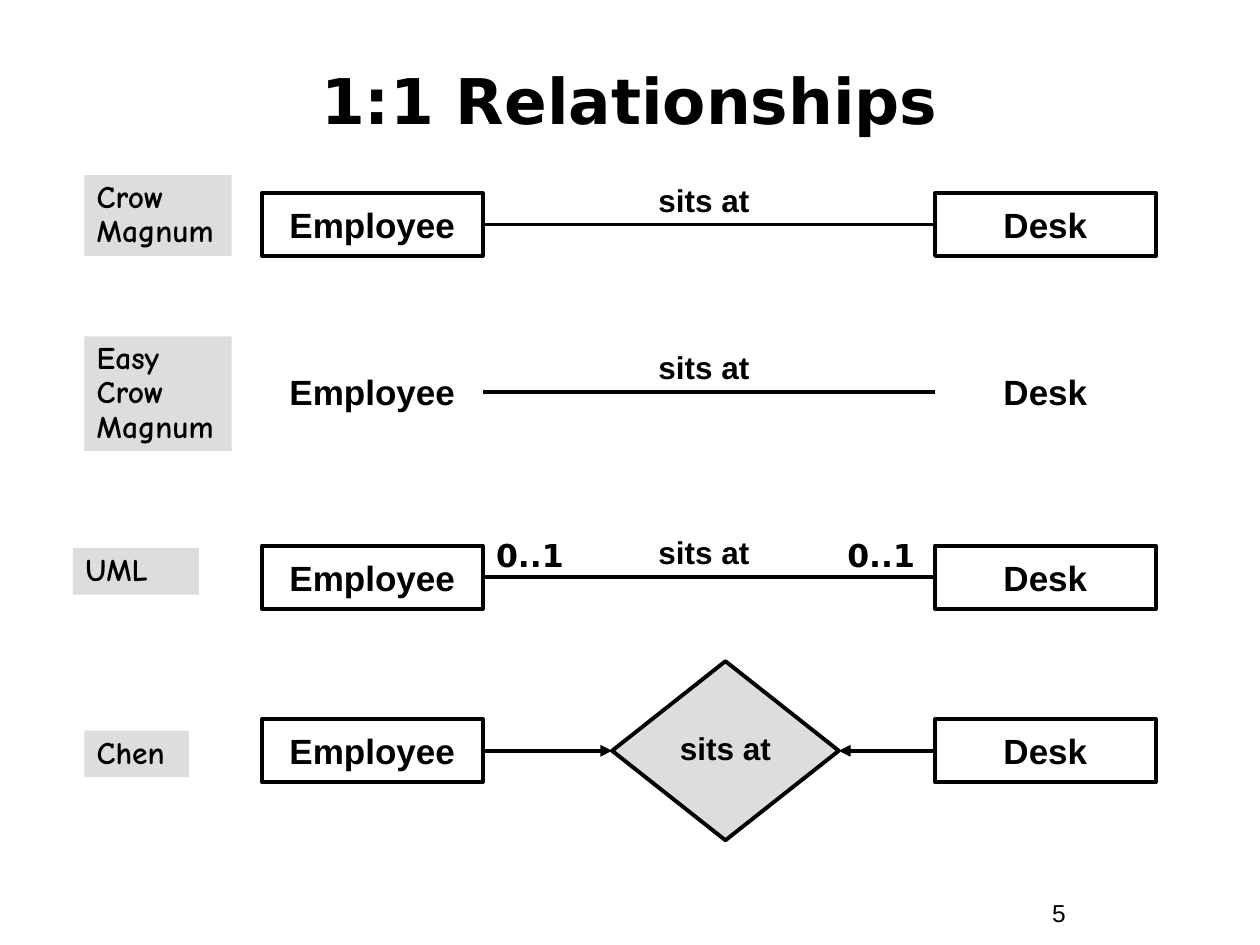
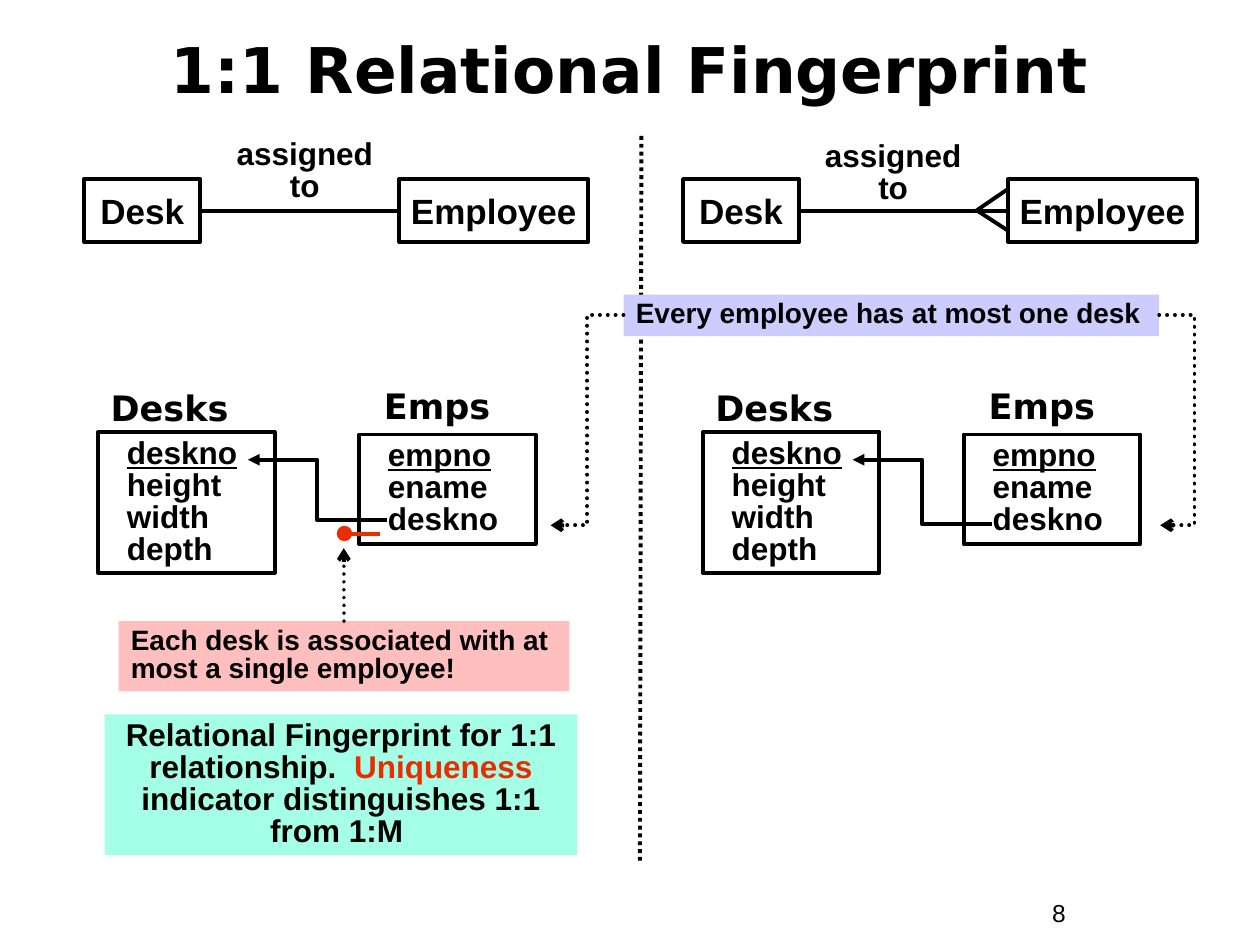
from lxml import etree
from pptx import Presentation
from pptx import util as u
from pptx.dml import color
from pptx.enum import dml, shapes, text
from pptx.oxml import ns

Cm = u.Cm
rgb = color.RGBColor.from_string
BLACK, GREY, RED = "000000", "DDDDDD", "EA2D00"
LEFT, CENTRE = text.PP_ALIGN.LEFT, text.PP_ALIGN.CENTER
TOP, MIDDLE = text.MSO_ANCHOR.TOP, text.MSO_ANCHOR.MIDDLE
TOP_SIDE, LEFT_SIDE, RIGHT_SIDE = 0, 1, 3
RECTANGLE = shapes.MSO_SHAPE.RECTANGLE

TITLE = dict(size=36, name="DejaVu Sans", align=CENTRE, anchor=MIDDLE)
NUMBER = dict(size=14, bold=False)
ENTITY = dict(size=20, align=CENTRE, anchor=MIDDLE, wrap=False)
BOXED = dict(ENTITY, line=BLACK)
VERB = dict(align=CENTRE, spacing=0.85)
NOTATION = dict(name="Comic Neue", spacing=0.9, fill=GREY)
CARDINALITY = dict(name="DejaVu Sans", align=CENTRE)
TABLE_NAME = dict(size=20, name="DejaVu Sans")
COLUMNS = dict(spacing=0.85, indent=0.33, line=BLACK)
NOTE = dict(size=16, spacing=0.85)


def add_box(slide, box, paragraphs, kind=RECTANGLE, size=18, name="Arial", bold=True,
            align=LEFT, anchor=TOP, wrap=True, spacing=1.0, indent=0, fill=None, line=None):
    lengths = [Cm(length) for length in box]
    if fill or line:
        shape = slide.shapes.add_shape(kind, *lengths)
        shape.shadow.inherit = False
        if fill:
            shape.fill.solid()
            shape.fill.fore_color.rgb = rgb(fill)
        else:
            shape.fill.background()
        if line:
            shape.line.color.rgb = rgb(line)
            shape.line.width = u.Pt(2.25)
        else:
            shape.line.fill.background()
    else:
        shape = slide.shapes.add_textbox(*lengths)
    frame = shape.text_frame
    frame_format = dict(word_wrap=wrap, vertical_anchor=anchor, margin_left=Cm(0.25),
                        margin_right=Cm(0.25), margin_top=Cm(0.13), margin_bottom=Cm(0.13))
    for attribute, value in frame_format.items():
        setattr(frame, attribute, value)
    if isinstance(paragraphs, str):
        paragraphs = [[(paragraphs, {})]]
    for index, runs in enumerate(paragraphs):
        paragraph = frame.add_paragraph() if index else frame.paragraphs[0]
        paragraph.alignment = align
        paragraph.line_spacing = spacing
        if indent:
            paragraph._p.get_or_add_pPr().set("marL", str(Cm(indent)))
        for words, changes in runs:
            for number, part in enumerate(words.split("\n")):
                if number:
                    paragraph.add_line_break()
                if not part:
                    continue
                run = paragraph.add_run()
                run.text = part
                font_format = dict(size=u.Pt(size), name=name, bold=bold,
                                   underline=changes.get("underline"))
                for attribute, value in font_format.items():
                    setattr(run.font, attribute, value)
                run.font.color.rgb = rgb(changes.get("colour", BLACK))
    return shape


def add_line(slide, start, end, bend=None, arrow=None, dotted=False, round_dots=False,
             colour=BLACK):
    joined = [not isinstance(place[0], (int, float)) for place in (start, end)]
    points = [(0, 0) if join else place for join, place in zip(joined, (start, end))]
    kind = shapes.MSO_CONNECTOR.STRAIGHT if bend is None else shapes.MSO_CONNECTOR.ELBOW
    connector = slide.shapes.add_connector(
        kind, *[Cm(length) for point in points for length in point])
    if joined[0]:
        connector.begin_connect(*start)
    if joined[1]:
        connector.end_connect(*end)
    connector.line.color.rgb = rgb(colour)
    connector.line.width = u.Pt(2.25)
    if dotted:
        connector.line.dash_style = dml.MSO_LINE.ROUND_DOT
    properties = connector._element.spPr
    outline = connector.line._get_or_add_ln()
    if round_dots:
        outline.set("cap", "rnd")
    if arrow:
        etree.SubElement(outline, ns.qn("a:tailEnd"), type=arrow)
    if bend is not None:
        geometry = properties.find(ns.qn("a:prstGeom"))
        adjustments = geometry.find(ns.qn("a:avLst"))
        if adjustments is None:
            adjustments = etree.SubElement(geometry, ns.qn("a:avLst"))
        share = round((bend - start[0]) / (end[0] - start[0]) * 100000)
        etree.SubElement(adjustments, ns.qn("a:gd"), name="adj1", fmla=f"val {share}")
    etree.SubElement(properties, ns.qn("a:effectLst"))
    return connector


presentation = Presentation()
presentation.slide_width, presentation.slide_height = Cm(25.4), Cm(19.05)

slides = []
for title, title_top, number in (("1:1 Relationships", 0.84, "5"),
                                 ("1:1 Relational Fingerprint", 0.2, "8")):
    slide = presentation.slides.add_slide(presentation.slide_layouts[6])
    add_box(slide, (20.96, 17.98, 2.34, 0.86), number, **NUMBER)
    add_box(slide, (0.84, title_top, 23.7, 2.34), title, **TITLE)
    slides.append(slide)
relationships, fingerprint = slides

notations = (
    ("Crow\nMagnum", (1.7, 3.53, 2.97, 1.63), 3.89, BOXED),
    ("Easy\nCrow\nMagnum", (1.7, 6.78, 2.97, 2.31), 7.26, ENTITY),
    ("UML", (1.47, 11.05, 2.54, 0.94), 11, BOXED),
    ("Chen", (1.7, 14.73, 2.11, 0.94), 14.5, BOXED),
)
for notation, label_box, top, entity_format in notations:
    add_box(relationships, label_box, notation, **NOTATION)
    employee, desk = [
        add_box(relationships, (left, top, 4.45, 1.27), entity, **entity_format)
        for entity, left in (("Employee", 5.28), ("Desk", 18.85))]
    if notation == "Chen":
        diamond = add_box(relationships, (12.34, 13.33, 4.57, 3.61), "sits at",
                          kind=shapes.MSO_SHAPE.FLOWCHART_DECISION, align=CENTRE,
                          anchor=MIDDLE, wrap=False, spacing=0.9, fill=GREY, line=BLACK)
        add_line(relationships, (employee, RIGHT_SIDE), (diamond, LEFT_SIDE), arrow="triangle")
        add_line(relationships, (desk, LEFT_SIDE), (diamond, RIGHT_SIDE), arrow="triangle")
    else:
        add_line(relationships, (employee, RIGHT_SIDE), (desk, LEFT_SIDE))
        add_box(relationships, (12.07, top - 0.26, 4.24, 0.91), "sits at", **VERB)
for left in (9.63, 16.71):
    add_box(relationships, (left, 10.67, 2.11, 1.02), "0..1", **CARDINALITY)

for desk_left, employee_left, verb_left, verb_top in ((1.7, 8.05, 4.47, 2.69),
                                                      (13.77, 20.32, 16.33, 2.72)):
    desk = add_box(fingerprint, (desk_left, 3.61, 2.34, 1.27), "Desk", **BOXED)
    employee = add_box(fingerprint, (employee_left, 3.61, 3.81, 1.27), "Employee", **BOXED)
    add_line(fingerprint, (employee, LEFT_SIDE), (desk, RIGHT_SIDE))
    add_box(fingerprint, (verb_left, verb_top, 3.35, 1.55), "assigned\nto", **VERB)
for toe_top in (3.81, 4.65):
    add_line(fingerprint, (19.69, 4.24), (20.32, toe_top))
add_line(fingerprint, (12.93, 2.74), (12.9, 17.35), dotted=True)

key = {"underline": True}
desk_columns = [[("deskno", key)], [("height", {})], [("width", {})], [("depth", {})]]
employee_columns = [[("empno", key), ("\nename\ndeskno", {})]]
for left, foreign_key_y in ((1.98, 10.49), (14.17, 10.57)):
    add_box(fingerprint, (left, 7.67, 3.35, 1.12), "Desks", **TABLE_NAME)
    add_box(fingerprint, (left, 8.71, 3.56, 2.84), desk_columns, **COLUMNS)
    add_box(fingerprint, (left + 5.51, 7.62, 2.97, 1.12), "Emps", **TABLE_NAME)
    add_box(fingerprint, (left + 5.26, 8.76, 3.56, 2.21), employee_columns, **COLUMNS)
    add_line(fingerprint, (left + 5.82, foreign_key_y), (left + 3.02, 9.27),
             bend=left + 4.42, arrow="triangle")

add_box(fingerprint, (12.57, 5.94, 10.8, 0.84), "Every employee has at most one desk",
        fill="CCCCFF", **NOTE)
for start_x, end_x, bend in ((12.57, 11.1, 11.84), (23.37, 23.39, 24.08)):
    add_line(fingerprint, (start_x, 6.35), (end_x, 10.59), bend=bend, arrow="arrow",
             dotted=True, round_dots=True)

unique_note = add_box(fingerprint, (2.39, 12.52, 9.09, 1.42),
                      "Each desk is associated with at most a single employee!",
                      fill="FFBFBF", **NOTE)
add_line(fingerprint, (unique_note, TOP_SIDE), (6.93, 11.05), arrow="arrow",
         dotted=True, round_dots=True)
add_box(fingerprint, (6.83, 10.64, 0.23, 0.23), [], kind=shapes.MSO_SHAPE.OVAL,
        fill=RED, line=RED)
add_line(fingerprint, (7.04, 10.77), (7.67, 10.77), colour=RED)

summary = [[("Relational Fingerprint for 1:1 relationship.  ", {}),
            ("Uniqueness", {"colour": RED}),
            (" indicator distinguishes 1:1 from 1:M ", {})]]
add_box(fingerprint, (2.11, 14.4, 9.53, 2.84), summary, fill="A5FFE7", **VERB)

presentation.save("out.pptx")
